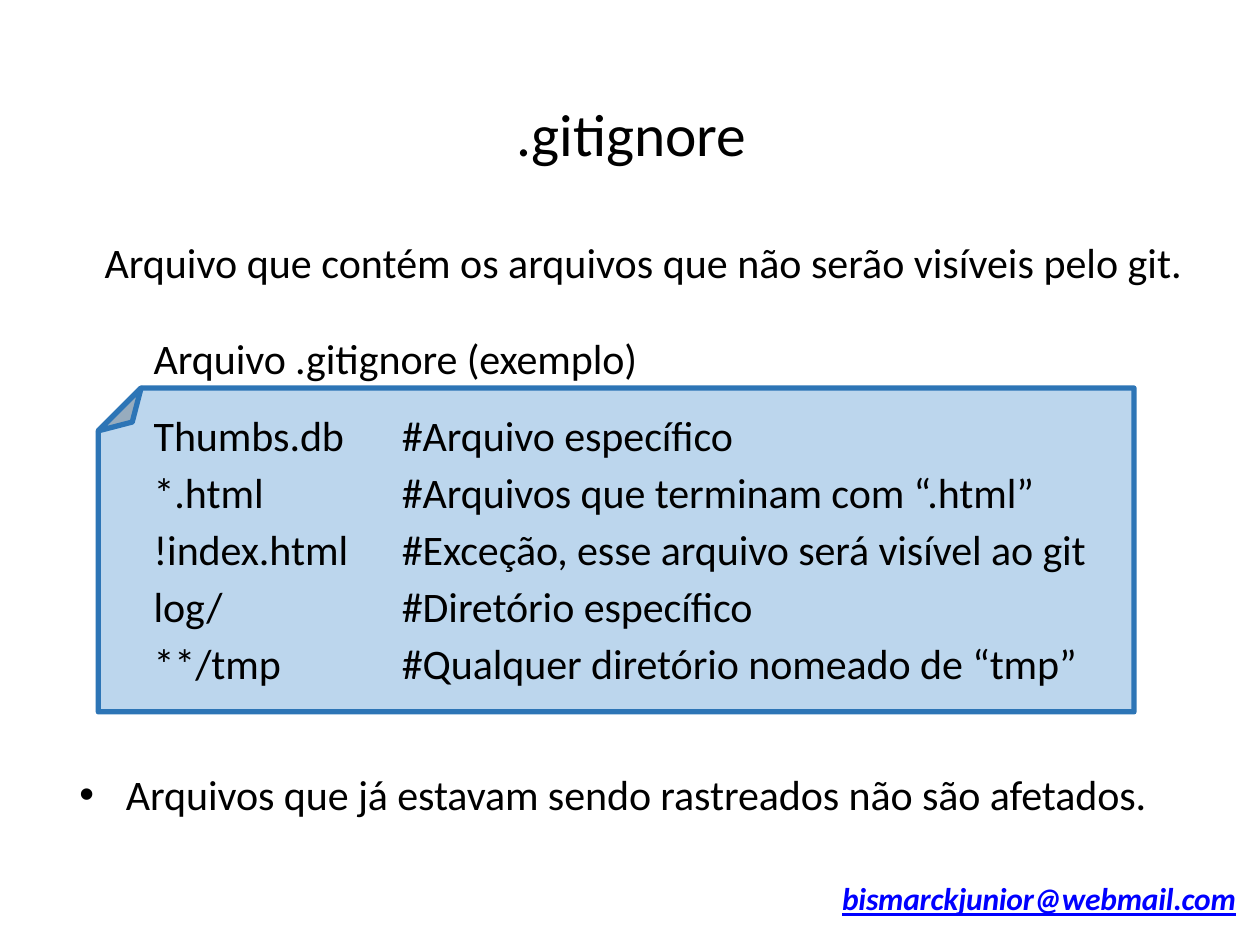
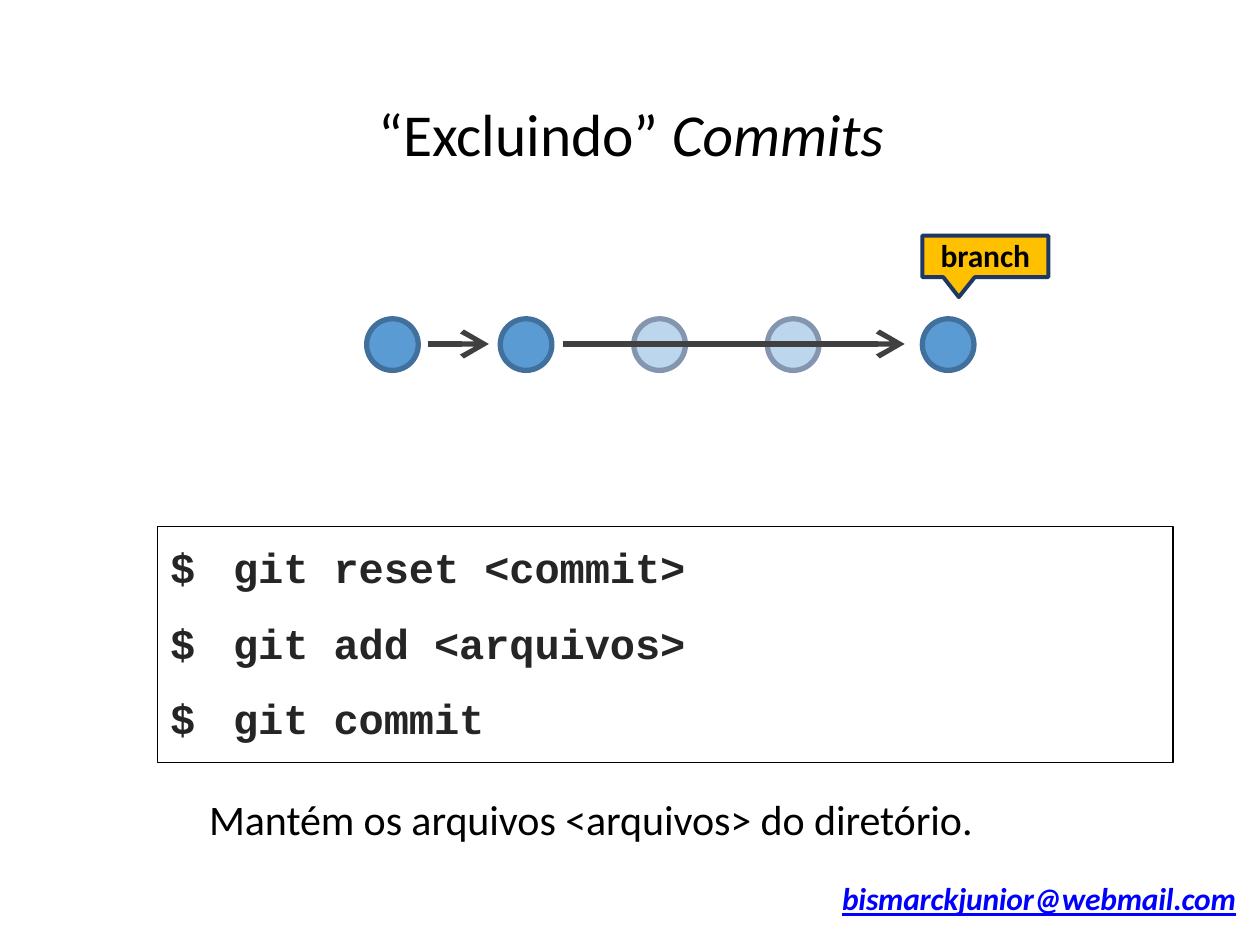
from lxml.etree import SubElement
from pptx import Presentation
from pptx.dml.color import RGBColor
from pptx.enum.shapes import MSO_CONNECTOR, MSO_SHAPE
from pptx.enum.text import MSO_ANCHOR, PP_ALIGN
from pptx.oxml.ns import qn
from pptx.util import Inches, Pt

COLORS = {
    "text": "000000",
    "link": "0000FF",
    "code": "252525",
    "pale": "BCD6ED",
    "fold": "97ACBE",
    "note_edge": "2D75B6",
    "commit": "5B9BD4",
    "commit_edge": "41709C",
    "dropped_edge": "8496AF",
    "arrow": "404040",
    "branch": "FFC000",
    "branch_edge": "1F3863",
}
EMAIL = "bismarckjunior@webmail.com"


def rgb(name):
    """Return the palette colour of that name."""
    return RGBColor.from_string(COLORS[name])


def write_text(frame, *lines, size=24, font="Calibri", color="text", bold=False,
               italic=False, underline=False, align=PP_ALIGN.LEFT, gap=0,
               margin=0, hanging=0, bullet=None, italic_tail="", tracking=-5):
    """Write one paragraph per line into a frame with the given format."""
    frame.word_wrap = True
    frame.margin_left = frame.margin_right = frame.margin_top = frame.margin_bottom = 0
    for number, line in enumerate(lines):
        paragraph = frame.add_paragraph() if number else frame.paragraphs[0]
        paragraph.alignment = align
        paragraph.space_after = Pt(gap)
        properties = paragraph._p.get_or_add_pPr()
        properties.set("marL", str(Inches(margin)))
        properties.set("indent", str(-Inches(hanging)))
        if bullet:
            SubElement(properties, qn("a:buFont"), typeface="Arial")
            SubElement(properties, qn("a:buChar"), char=bullet)
        for words, slanted in ((line, italic), (italic_tail, True)):
            if not words:
                continue
            run = paragraph.add_run()
            run.text = words
            run.font.size = Pt(size)
            run.font.name = font
            run.font.bold = bold
            run.font.italic = slanted
            run.font.underline = underline
            run.font.color.rgb = rgb(color)
            run._r.get_or_add_rPr().set("spc", str(tracking))


class Deck:
    """Hold the shared style and the slide being built."""

    def __init__(self):
        """Open an empty 10 by 7.5 inch presentation."""
        self.presentation = Presentation()
        self.presentation.slide_width = Inches(10)
        self.presentation.slide_height = Inches(7.5)
        self.slide = None

    def start_slide(self, title, italic_tail=""):
        """Add a blank slide with its title and contact footer."""
        self.slide = self.presentation.slides.add_slide(self.presentation.slide_layouts[6])
        self.text(0.89, 0.77, 8.24, 0.59, title, size=34, align=PP_ALIGN.CENTER,
                  italic_tail=italic_tail)
        self.text(6.01, 6.98, 3.8, 0.31, EMAIL, size=18, color="link", bold=True,
                  italic=True, underline=True, align=PP_ALIGN.RIGHT, tracking=-10)

    def text(self, left, top, width, height, *lines, **style):
        """Add a text box."""
        box = self.slide.shapes.add_textbox(*map(Inches, (left, top, width, height)))
        write_text(box.text_frame, *lines, **style)

    def paint(self, shape, fill, edge, weight):
        """Give a shape its fill and outline, without a shadow."""
        shape.shadow.inherit = False
        if fill:
            shape.fill.solid()
            shape.fill.fore_color.rgb = rgb(fill)
        else:
            shape.fill.background()
        shape.line.color.rgb = rgb(edge)
        shape.line.width = Pt(weight)

    def shape(self, preset, left, top, width, height, fill, edge, weight=3):
        """Add a preset shape."""
        shape = self.slide.shapes.add_shape(
            preset, *map(Inches, (left, top, width, height)))
        self.paint(shape, fill, edge, weight)
        return shape

    def outline(self, points, fill, edge, weight=3):
        """Add a closed freeform through the points."""
        start, *rest = [(Inches(x), Inches(y)) for x, y in points]
        builder = self.slide.shapes.build_freeform(*start)
        builder.add_line_segments(rest, close=True)
        self.paint(builder.convert_to_shape(), fill, edge, weight)

    def arrow(self, start, end, y):
        """Add a horizontal arrow."""
        arrow = self.slide.shapes.add_connector(
            MSO_CONNECTOR.STRAIGHT, *map(Inches, (start, y, end, y)))
        arrow.line.color.rgb = rgb("arrow")
        arrow.line.width = Pt(3)
        SubElement(arrow.line._get_or_add_ln(), qn("a:tailEnd"),
                   type="arrow", w="lg", len="lg")
        SubElement(arrow._element.spPr, qn("a:effectLst"))


def build_gitignore(deck):
    """Build the slide on the .gitignore file."""
    deck.start_slide(".gitignore")
    deck.text(0.83, 1.88, 8.9, 0.41,
              "Arquivo que contém os arquivos que não serão visíveis pelo git.",
              tracking=0)
    deck.text(1.22, 2.64, 5, 0.41, "Arquivo .gitignore (exemplo)")

    left, top, right, bottom, corner = 0.78, 3.08, 9, 5.65, 0.34
    fold_edge = [(left + corner, top), (left, top + corner)]
    deck.outline([*fold_edge, (left, bottom), (right, bottom), (right, top)],
                 "pale", "note_edge")
    deck.outline([*fold_edge, (1.05, 3.35)], "fold", "note_edge")

    patterns, meanings = zip(
        ("Thumbs.db", "#Arquivo específico"),
        ("*.html", "#Arquivos que terminam com “.html”"),
        ("!index.html", "#Exceção, esse arquivo será visível ao git"),
        ("log/", "#Diretório específico"),
        ("**/tmp", "#Qualquer diretório nomeado de “tmp”"),
    )
    deck.text(1.22, 3.25, 1.8, 2.3, *patterns, gap=3.8)
    deck.text(3.19, 3.25, 5.7, 2.3, *meanings, gap=3.8)
    deck.text(0.61, 6.1, 8.9, 0.41,
              "Arquivos que já estavam sendo rastreados não são afetados.",
              margin=0.39, hanging=0.37, bullet="•")


def build_excluding_commits(deck):
    """Build the slide on leaving commits out of a branch."""
    deck.start_slide("“Excluindo” ", italic_tail="Commits")
    deck.text(1.66, 6.3, 6.5, 0.41, "Mantém os arquivos <arquivos> do diretório.")

    first, step, diameter, top = 2.91, 1.06, 0.41, 2.53
    kept, dropped = ("commit", "commit_edge"), ("pale", "dropped_edge")
    history = [(first + step * place, look)
               for place, look in enumerate((kept, kept, dropped, dropped))]
    for left, look in [*history, (7.32, kept)]:
        deck.shape(MSO_SHAPE.OVAL, left, top, diameter, diameter, *look)
    for start, end in ((3.4, 3.88), (4.47, 7.18)):
        deck.arrow(start, end, 2.73)

    branch = deck.shape(MSO_SHAPE.RECTANGULAR_CALLOUT, 7.32, 1.87, 1, 0.33,
                        "branch", "branch_edge", 2.28)
    branch.adjustments[0] = -0.21
    branch.adjustments[1] = 0.98
    write_text(branch.text_frame, "branch", size=18, bold=True, align=PP_ALIGN.CENTER)
    branch.text_frame.vertical_anchor = MSO_ANCHOR.MIDDLE
    branch.text_frame.margin_bottom = Inches(0.02)

    terminal = deck.shape(MSO_SHAPE.RECTANGLE, 1.25, 4.18, 8.06, 1.87,
                          None, "text", 0.72)
    commands = ("git reset <commit>", "git add <arquivos>", "git commit")
    write_text(terminal.text_frame, *(f"$\t{command}" for command in commands),
               font="Courier New", color="code", bold=True, gap=14.4,
               margin=0.6, hanging=0.5)
    terminal.text_frame.margin_top = Inches(0.12)
    terminal.text_frame.vertical_anchor = MSO_ANCHOR.TOP


def main():
    """Build both slides and save them."""
    deck = Deck()
    build_gitignore(deck)
    build_excluding_commits(deck)
    deck.presentation.save("out.pptx")


if __name__ == "__main__":
    main()
